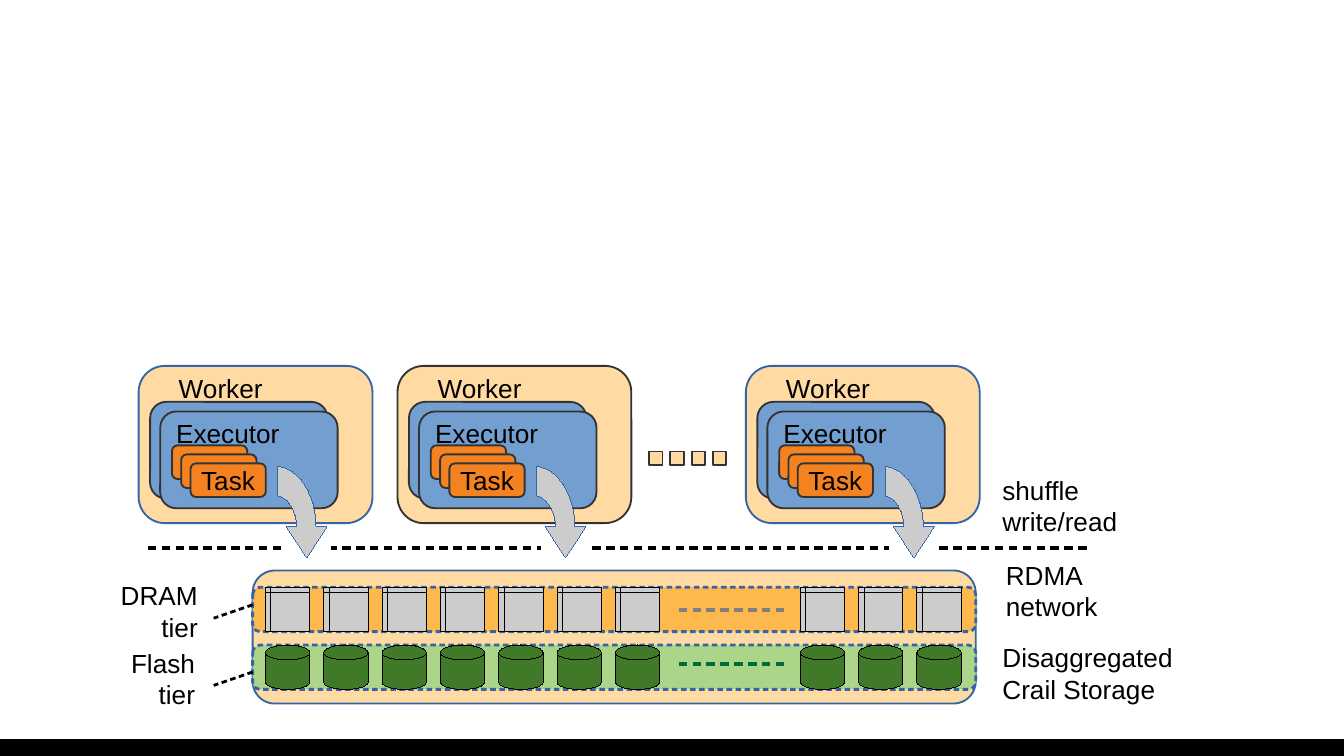
from lxml import etree
from pptx import Presentation
from pptx.dml.color import RGBColor
from pptx.enum.shapes import MSO_CONNECTOR, MSO_SHAPE
from pptx.enum.text import MSO_ANCHOR, MSO_AUTO_SIZE, PP_ALIGN
from pptx.oxml.ns import qn
from pptx.util import Inches, Pt

RECT = MSO_SHAPE.RECTANGLE
ROUNDED = MSO_SHAPE.ROUNDED_RECTANGLE
MEMORY = MSO_SHAPE.FLOWCHART_INTERNAL_STORAGE
DISK = MSO_SHAPE.FLOWCHART_MAGNETIC_DISK
STRAIGHT = MSO_CONNECTOR.STRAIGHT
LEFT, CENTER, RIGHT = PP_ALIGN.LEFT, PP_ALIGN.CENTER, PP_ALIGN.RIGHT
MIDDLE, TOP = MSO_ANCHOR.MIDDLE, MSO_ANCHOR.TOP
GROW, FIXED = MSO_AUTO_SIZE.SHAPE_TO_FIT_TEXT, MSO_AUTO_SIZE.NONE

COLUMNS, ROWS = 100, 56.25
HAIRLINE = 0.01
BLACK, WHITE, BLUE, DARK = "000000", "FFFFFF", "3465A4", "333333"
SAND, SKY, ORANGE, GRAY = "FFDAA2", "729FCF", "F58220", "CCCCCC"


def color(value):
    return RGBColor.from_string(value)


def write(frame, text, align=LEFT, anchor=TOP, size=14, font="Arial", ink=BLACK,
          fit=GROW, margins=(0.1, 0.05)):
    frame.word_wrap = False
    frame.auto_size = fit
    frame.vertical_anchor = anchor
    frame.margin_left = frame.margin_right = Inches(margins[0])
    frame.margin_top = frame.margin_bottom = Inches(margins[1])
    for index, line in enumerate(text.split("\n")):
        paragraph = frame.paragraphs[0] if index == 0 else frame.add_paragraph()
        paragraph.alignment = align
        run = paragraph.add_run()
        run.text = line
        run.font.size = Pt(size)
        run.font.name = font
        run.font.color.rgb = color(ink)


def bezier(start, first, second, end, steps=12):
    for step in range(1, steps + 1):
        t = step / steps
        weights = ((1 - t) ** 3, 3 * t * (1 - t) ** 2, 3 * t * t * (1 - t), t ** 3)
        yield tuple(sum(w * p[axis] for w, p in zip(weights, (start, first, second, end)))
                    for axis in (0, 1))


class Diagram:
    def __init__(self, deck):
        self.shapes = deck.slides.add_slide(deck.slide_layouts[6]).shapes
        self.column = deck.slide_width / COLUMNS
        self.row = deck.slide_height / ROWS

    def place(self, *lengths):
        return [round(length * (self.row if index % 2 else self.column))
                for index, length in enumerate(lengths)]

    def paint(self, shape, fill, outline, weight):
        shape.shadow.inherit = False
        shape.fill.solid()
        shape.fill.fore_color.rgb = color(fill)
        if outline:
            shape.line.color.rgb = color(outline)
            shape.line.width = Pt(weight)
        else:
            shape.line.fill.background()
        return shape

    def dash(self, element):
        pattern = etree.SubElement(element.spPr.find(qn("a:ln")), qn("a:custDash"))
        etree.SubElement(pattern, qn("a:ds"), d="197000", sp="127000")

    def box(self, kind, x, y, width, height, fill, outline=DARK, weight=1, dashed=False):
        shape = self.shapes.add_shape(kind, *self.place(x, y, width, height))
        self.paint(shape, fill, outline, weight)
        if dashed:
            self.dash(shape._element)
        return shape

    def label(self, x, y, width, height, text, **style):
        write(self.shapes.add_textbox(*self.place(x, y, width, height)).text_frame, text, **style)

    def dashed_line(self, x1, y1, x2, y2, ink, weight):
        line = self.shapes.add_connector(STRAIGHT, *self.place(x1, y1, x2, y2))
        line.line.color.rgb = color(ink)
        line.line.width = Pt(weight)
        self.dash(line._element)
        etree.SubElement(line._element.spPr, qn("a:effectLst"))

    def outline(self, points, fill, ink, weight):
        start, *rest = [self.place(*point) for point in points]
        builder = self.shapes.build_freeform(*start, scale=1.0)
        builder.add_line_segments(rest, close=True)
        self.paint(builder.convert_to_shape(), fill, ink, weight)

    def worker(self, x, edge):
        self.box(ROUNDED, x, 27.23, 17.4, 11.7, SAND, edge)
        for step in range(2):
            self.box(ROUNDED, x + 0.85 + 0.75 * step, 29.9 + 0.72 * step, 13.2, 7.2, SKY)
        for step in range(3):
            task = self.box(ROUNDED, x + 2.48 + 0.69 * step, 33.14 + 0.67 * step, 5.6, 2.5, ORANGE)
        write(task.text_frame, "Task", align=CENTER, anchor=MIDDLE, fit=FIXED,
              margins=(0.11, 0.06))
        self.label(x + 1.8, 30.55, 10.2, 3.2, "Executor")
        self.label(x + 2, 27.2, 8.7, 3.2, "Worker")

    def shuffle_arrow(self, x):
        self.box(RECT, x + 10.7, 39.7, 3.6, 2, WHITE, WHITE, HAIRLINE)
        inner, tail, shoulder = (x + 11.75, 39.2), (x + 10.35, 36.9), (x + 10.35, 34.7)
        outer = (x + 13.2, 39.2)
        points = [inner]
        points += bezier(inner, (x + 11.75, 38), (x + 11.1, 37), tail)
        points.append(shoulder)
        points += bezier(shoulder, (x + 11.9, 34.8), (x + 13.2, 36.8), outer)
        points += [(x + 14, 39.2), (x + 12.5, 41.5), (x + 11, 39.2)]
        self.outline(points, GRAY, BLUE, HAIRLINE)

    def tier(self, y, fill, unit, unit_fill, gap_y, gap_ink):
        self.box(ROUNDED, 18.8, y, 53.8, 3.3, fill, BLUE, 1.5, dashed=True)
        for first, count in ((19.75, 7), (59.55, 3)):
            for index in range(count):
                self.box(unit, first + 4.34 * index, y, 3.3, 3.3, unit_fill, BLACK, HAIRLINE)
        self.dashed_line(50.5, gap_y, 58.5, gap_y, gap_ink, 2.3)


def main():
    deck = Presentation()
    deck.slide_width, deck.slide_height = Inches(COLUMNS / 10), Inches(ROWS / 10)
    diagram = Diagram(deck)
    diagram.box(RECT, 0, 55, COLUMNS, ROWS - 55, BLACK, None)

    workers = ((10.32, BLUE), (29.58, DARK), (55.5, BLUE))
    for x, edge in workers:
        diagram.worker(x, edge)
    for index in range(4):
        diagram.box(RECT, 48.3 + 1.58 * index, 33.6, 1, 1, SAND)

    diagram.box(ROUNDED, 18.8, 42.45, 53.8, 9.9, SAND, BLUE)
    diagram.tier(43.7, "FDB94D", MEMORY, GRAY, 45.4, "808080")
    diagram.tier(48, "ADD58A", DISK, "407927", 49.4, "006C3B")
    for y in (45, 50):
        diagram.dashed_line(18.8, y, 15.9, y + 1, BLACK, 1.5)
    diagram.label(7.5, 42.65, 8.2, 5.4, "DRAM\ntier", align=RIGHT)
    diagram.label(8.3, 47.65, 7.2, 5.4, "Flash\ntier", align=RIGHT)

    diagram.dashed_line(11, 40.8, 81, 40.8, BLACK, 2.3)
    for x, _ in workers:
        diagram.shuffle_arrow(x)
    diagram.label(73.6, 34.8, 11, 6, "shuffle\nwrite/read")
    diagram.label(73.85, 41.1, 9.9, 6, "RDMA\nnetwork")
    diagram.label(73.6, 47.25, 15.2, 5.4, "Disaggregated\nCrail Storage")
    deck.save("out.pptx")


if __name__ == "__main__":
    main()
